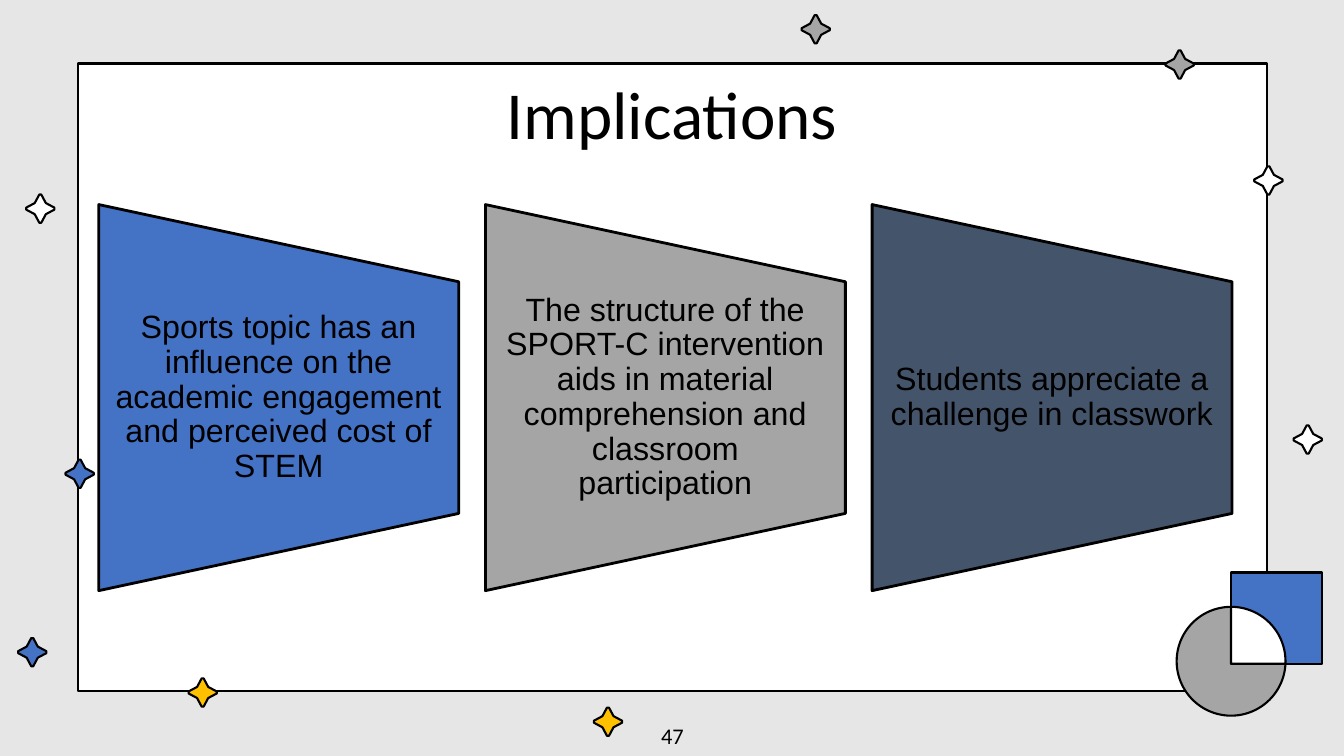
from math import cos, pi, sin

from pptx import Presentation
from pptx.dml.color import RGBColor
from pptx.enum.shapes import MSO_SHAPE as Preset
from pptx.enum.text import MSO_ANCHOR as Anchor, MSO_AUTO_SIZE as AutoSize, PP_ALIGN as Align
from pptx.util import Inches, Pt

COLORS = {
    "ground": "E7E6E6", "white": "FFFFFF", "black": "000000",
    "blue": "4472C4", "gray": "A5A5A5", "gold": "FFC000", "slate": "44546A",
}
TITLE = "Implications"
PAGE_NUMBER = "47"
PANELS = [
    ("Sports topic has an influence on the academic engagement and perceived cost of STEM", "blue"),
    ("The structure of the SPORT-C intervention aids in material comprehension "
     "and classroom participation", "gray"),
    ("Students appreciate a challenge in classwork", "slate"),
]
# Star centres in inches
STARS = [
    (11.7, 0.64, "gray"), (0.32, 6.47, "blue"), (0.79, 4.7, "blue"),
    (6.03, 7.16, "gold"), (12.97, 4.36, "white"), (12.58, 1.79, "white"),
    (2.01, 6.87, "gold"), (0.4, 2.07, "white"), (8.09, 0.29, "gray"),
]
STAR_REACH, STAR_WAIST, STAR_TIP = 0.14, 0.055, 0.01

SLIDE_W, SLIDE_H = 13.33, 7.5
FRAME = (0.77, 0.63, 11.8, 6.23)
PANEL_LEFT, PANEL_TOP, PANEL_STEP = 0.98, 2.03, 3.835
PANEL_W, PANEL_H = 3.57, 3.83
PANEL_SLOPE = PANEL_H / 5
HUB_X, HUB_Y, RADIUS = 12.21, 6.56, 0.54
SQUARE_TOP, SQUARE_SIDE = 5.68, 0.905


def color(name):
    return RGBColor.from_string(COLORS[name])


def paint(shape, fill, width=1.5):
    shape.shadow.inherit = False
    shape.fill.solid()
    shape.fill.fore_color.rgb = color(fill)
    shape.line.color.rgb = color("black")
    shape.line.width = Pt(width)
    return shape


def add_preset(shapes, kind, box, fill):
    return paint(shapes.add_shape(kind, *map(Inches, box)), fill)


def add_outline(shapes, points, fill, width=1.5):
    """Add a closed polygon through points given in slide inches."""
    start, *rest = [(Inches(x), Inches(y)) for x, y in points]
    builder = shapes.build_freeform(*start)
    builder.add_line_segments(rest, close=True)
    return paint(builder.convert_to_shape(), fill, width)


def star_points(x, y):
    points = []
    arm = [(-STAR_TIP, -STAR_REACH), (STAR_TIP, -STAR_REACH), (STAR_WAIST, -STAR_WAIST)]
    for _ in range(4):
        points += [(x + dx, y + dy) for dx, dy in arm]
        arm = [(-dy, dx) for dx, dy in arm]
    return points


def write(shape, text, font, size, insets):
    frame = shape.text_frame
    sides = dict(zip(("margin_left", "margin_top", "margin_right", "margin_bottom"),
                     map(Inches, insets)))
    layout = {"word_wrap": True, "auto_size": AutoSize.NONE,
              "vertical_anchor": Anchor.MIDDLE, **sides}
    for name, value in layout.items():
        setattr(frame, name, value)
    para = frame.paragraphs[0]
    para.alignment = Align.CENTER
    span = para.add_run()
    span.text = text
    for name, value in {"name": font, "size": Pt(size), "bold": False}.items():
        setattr(span.font, name, value)
    span.font.color.rgb = color("black")
    return para


def add_title(page):
    title = page.shapes.title
    box = {"left": 1.05, "top": 0.7, "width": 11.23, "height": 0.84}
    for name, value in box.items():
        setattr(title, name, Inches(value))
    write(title, TITLE, "Calibri", 48, (0.13,) * 4)
    page.shapes._spTree.append(title._element)  # bring in front of the frame


def add_corner(page):
    """Group the circle, the square and their white overlap."""
    parts = page.shapes.add_group_shape().shapes
    add_preset(parts, Preset.OVAL,
               (HUB_X - RADIUS, HUB_Y - RADIUS, 2 * RADIUS, 2 * RADIUS), "gray")
    add_preset(parts, Preset.RECTANGLE,
               (HUB_X, SQUARE_TOP, SQUARE_SIDE, SQUARE_SIDE), "blue")
    steps = 30
    angles = [pi / 2 * step / steps for step in range(steps + 1)]
    arc = [(HUB_X + RADIUS * sin(a), HUB_Y - RADIUS * cos(a)) for a in angles]
    bottom = SQUARE_TOP + SQUARE_SIDE
    add_outline(parts, arc + [(HUB_X + RADIUS, bottom), (HUB_X, bottom)], "white")


def add_panels(page):
    bottom = PANEL_TOP + PANEL_H
    for index, (text, fill) in enumerate(PANELS):
        left = PANEL_LEFT + index * PANEL_STEP
        right = left + PANEL_W
        corners = [(left, bottom), (left, PANEL_TOP),
                   (right, PANEL_TOP + PANEL_SLOPE), (right, bottom - PANEL_SLOPE)]
        panel = add_outline(page.shapes, corners, fill, 2)
        write(panel, text, "Arial", 23, (0.16, 0.77, 0.16, 0.77)).line_spacing = 0.9


def main():
    deck = Presentation()
    deck.slide_width, deck.slide_height = Inches(SLIDE_W), Inches(SLIDE_H)
    page = deck.slides.add_slide(deck.slide_layouts[5])
    page.background.fill.solid()
    page.background.fill.fore_color.rgb = color("ground")

    add_preset(page.shapes, Preset.RECTANGLE, FRAME, "white")
    for x, y, fill in STARS:
        add_outline(page.shapes, star_points(x, y), fill)
    add_title(page)
    add_corner(page)
    add_panels(page)
    number = page.shapes.add_textbox(*map(Inches, (5.17, 7.1, 3, 0.4)))
    write(number, PAGE_NUMBER, "Calibri", 16, (0.1, 0.05, 0.1, 0.05))
    deck.save("out.pptx")


if __name__ == "__main__":
    main()
